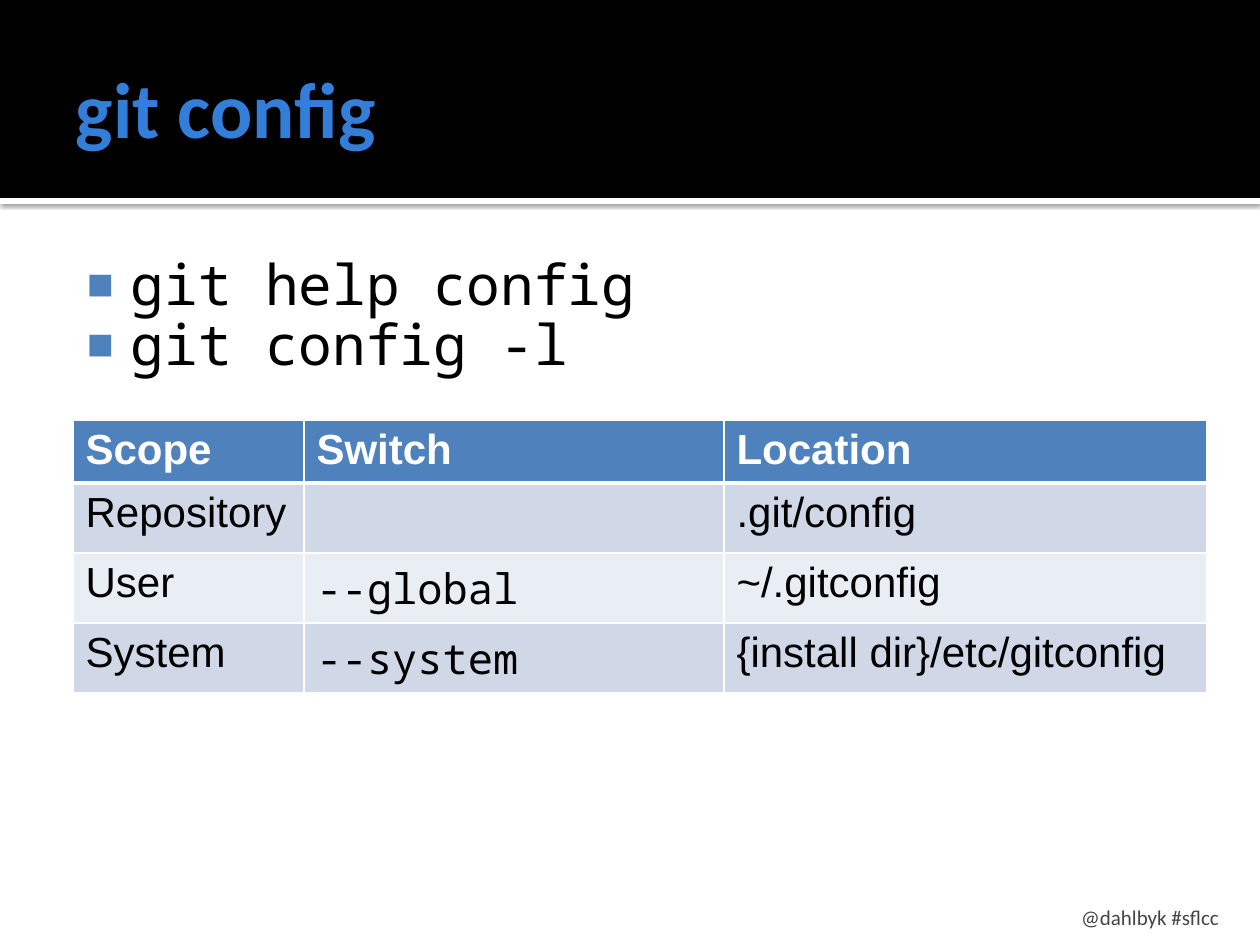
from lxml import etree
from pptx import Presentation
from pptx import util as u
from pptx.dml.color import RGBColor
from pptx.enum import shapes, text
from pptx.oxml import ns

BLACK = RGBColor(0x00, 0x00, 0x00)
WHITE = RGBColor(0xFF, 0xFF, 0xFF)
TITLE_BLUE = RGBColor(0x33, 0x7E, 0xD9)
ACCENT = RGBColor(0x4F, 0x81, 0xBD)
BAND_DARK = RGBColor(0xD0, 0xD8, 0xE8)
BAND_LIGHT = RGBColor(0xE9, 0xED, 0xF4)
FOOTER_GRAY = RGBColor(0x45, 0x45, 0x45)
SANS, MONO, HEADING = "Arial", "Noto Sans Mono", "Calibri"

COMMANDS = ["git help config", "git config -l"]
SCOPES = [
    ("Scope", "Switch", "Location"),
    ("Repository", "", ".git/config"),
    ("User", "--global", "~/.gitconfig"),
    ("System", "--system", "{install dir}/etc/gitconfig"),
]


def px(length):
    return u.Emu(round(length * 914400 / 126))


def add_xml(parent, tag, **attributes):
    return etree.SubElement(parent, ns.qn(tag), attributes)


def write(paragraph, words, size, color, **formats):
    run = paragraph.add_run()
    run.text = words
    run.font.color.rgb = color
    for key, value in dict(formats, size=u.Pt(size)).items():
        setattr(run.font, key, value)


def add_frame(slide, box, insets, anchor):
    frame = slide.shapes.add_textbox(*map(px, box)).text_frame
    left, top, right, bottom = map(px, insets)
    formats = dict(word_wrap=True, vertical_anchor=anchor, margin_left=left,
                   margin_top=top, margin_right=right, margin_bottom=bottom)
    for key, value in formats.items():
        setattr(frame, key, value)
    return frame


def add_band(slide, box, color):
    band = slide.shapes.add_shape(shapes.MSO_SHAPE.RECTANGLE, *map(px, box))
    band.shadow.inherit = False
    band.fill.solid()
    band.fill.fore_color.rgb = color
    band.line.fill.background()
    return band


def add_header(slide, left, top, width, height):
    strip = add_band(slide, (left, top + height, width, 6), WHITE)
    effects = strip._element.spPr.find(ns.qn("a:effectLst"))
    shadow = add_xml(effects, "a:outerShdw", blurRad=str(u.Pt(2.5)),
                     dist=str(u.Pt(0.8)), dir="5400000", rotWithShape="0")
    add_xml(add_xml(shadow, "a:srgbClr", val=str(BLACK)), "a:alpha", val="60000")
    add_band(slide, (left, top, width, height), BLACK)
    title = add_frame(slide, (left + 63, top + 21, width - 126, height - 25),
                      (13, 6, 6, 6), text.MSO_ANCHOR.MIDDLE)
    write(title.paragraphs[0], "git config", 45, TITLE_BLUE, name=HEADING, bold=True)


def add_commands(slide, *box):
    frame = add_frame(slide, box, (8, 13, 13, 6), text.MSO_ANCHOR.TOP)
    for index, command in enumerate(COMMANDS):
        line = frame.add_paragraph() if index else frame.paragraphs[0]
        line.line_spacing = 0.9
        properties = line._p.get_or_add_pPr()
        properties.set("marL", str(px(60)))
        properties.set("indent", str(px(-44)))
        add_xml(add_xml(properties, "a:buClr"), "a:srgbClr", val=str(ACCENT))
        add_xml(properties, "a:buSzPct", val="80000")
        add_xml(properties, "a:buFont", typeface=SANS)
        add_xml(properties, "a:buChar", char="■")
        write(line, command, 32, BLACK, name=MONO)


def add_borders(cell, widths):
    properties = cell._tc.get_or_add_tcPr()
    for side, width in widths.items():
        border = add_xml(properties, "a:ln" + side, w=str(u.Pt(width)))
        add_xml(add_xml(border, "a:solidFill"), "a:srgbClr", val=str(WHITE))


def add_scopes(slide, left, top, columns, rows):
    box = map(px, (left, top, sum(columns), sum(rows)))
    table = slide.shapes.add_table(len(rows), len(columns), *box).table
    for column, width in zip(table.columns, columns):
        column.width = px(width)
    for row, height in zip(table.rows, rows):
        row.height = px(height)
    for r, labels in enumerate(SCOPES):
        heading = r == 0
        fill = ACCENT if heading else (BAND_LIGHT, BAND_DARK)[r % 2]
        for c, label in enumerate(labels):
            cell = table.cell(r, c)
            add_borders(cell, dict(L=1, R=1, T=3 if r == 1 else 1, B=3 if heading else 1))
            cell.fill.solid()
            cell.fill.fore_color.rgb = fill
            if label:
                write(cell.text_frame.paragraphs[0], label, 24,
                      WHITE if heading else BLACK, bold=heading,
                      name=MONO if c == 1 and not heading else SANS)


def add_footer(slide, *box):
    frame = add_frame(slide, box, (13, 6, 13, 0), text.MSO_ANCHOR.BOTTOM)
    frame.paragraphs[0].alignment = text.PP_ALIGN.RIGHT
    write(frame.paragraphs[0], "@dahlbyk #sflcc", 12, FOOTER_GRAY, name=HEADING)


def main():
    deck = Presentation()
    deck.slide_width, deck.slide_height = px(1260), px(945)
    slide = deck.slides.add_slide(deck.slide_layouts[6])
    add_header(slide, 0, 0, 1260, 198)
    add_commands(slide, 63, 244, 1134, 638)
    add_scopes(slide, 73, 420, (231, 420, 483), (63, 70, 70, 70))
    add_footer(slide, 903, 892, 329, 38)
    deck.save("out.pptx")


if __name__ == "__main__":
    main()
